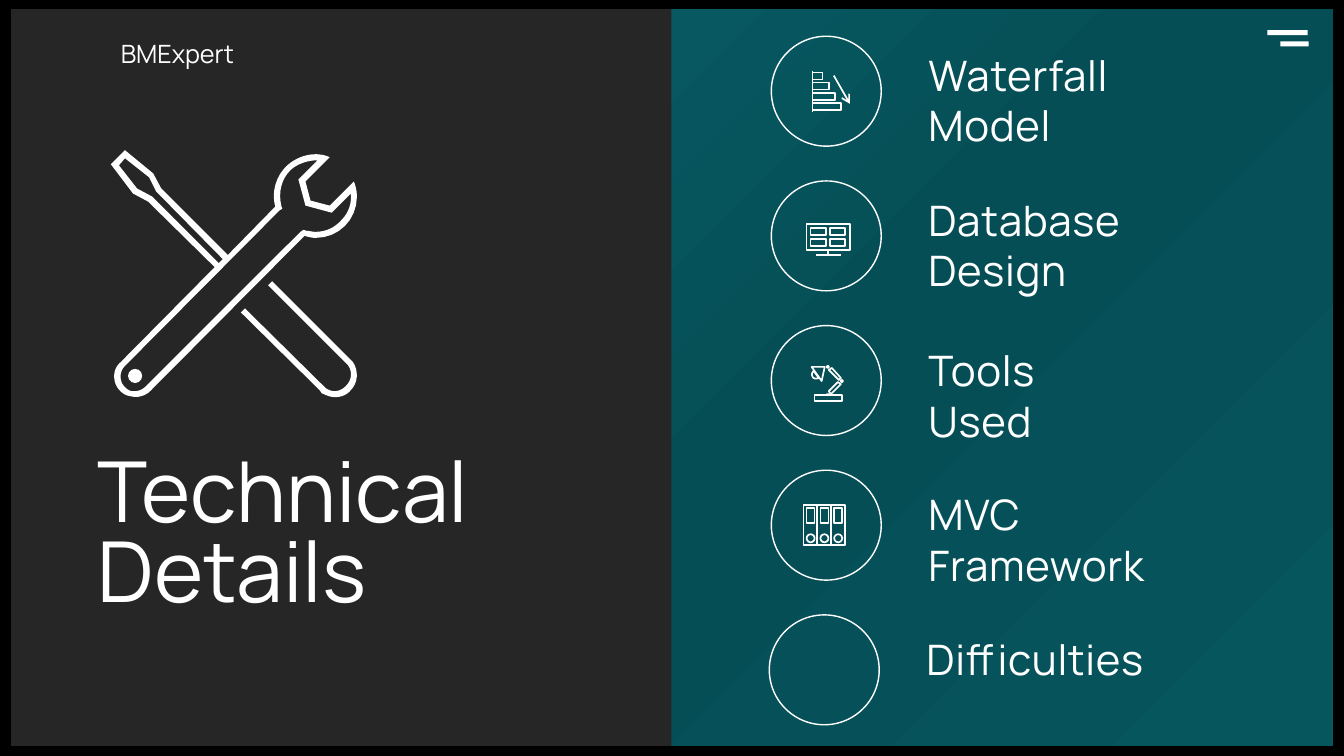
from lxml import etree
from pptx import Presentation, util as u
from pptx.dml.color import RGBColor
from pptx.enum import shapes, text
from pptx.oxml import parse_xml
from pptx.oxml.ns import qn

COLORS = {"black": "000000", "charcoal": "262626", "white": "FFFFFF",
          "teal": "086972", "deep": "064E56", "edge": "06565E"}
WHITE = RGBColor.from_string(COLORS["white"])
RECT, OVAL = shapes.MSO_SHAPE.RECTANGLE, shapes.MSO_SHAPE.OVAL
ICON_LINE = u.Pt(1.2)

prs = Presentation()
prs.slide_width, prs.slide_height = u.Inches(13.33), u.Inches(7.5)
s = prs.slides.add_slide(prs.slide_layouts[6])
s.background.fill.solid()
s.background.fill.fore_color.rgb = RGBColor.from_string(COLORS["black"])


def add_text(content, left, top, width, height, size, tracking=None, leading=None):
    tf = s.shapes.add_textbox(*map(u.Inches, (left, top, width, height))).text_frame
    tf.word_wrap = True
    tf.auto_size = text.MSO_AUTO_SIZE.SHAPE_TO_FIT_TEXT
    p = tf.paragraphs[0]
    if leading:
        p.line_spacing = leading
    r = p.add_run()
    r.text = content
    r.font.name, r.font.size, r.font.color.rgb = "Manrope", u.Pt(size), WHITE
    if tracking:
        r.font._element.set("spc", str(int(tracking * 100)))


def add_outline(contours, line=None, steps=8):
    builder = None
    for contour in contours:
        points = []
        for step in contour.split(";"):
            xy = [float(n) for n in step.split()]
            if len(xy) == 2:
                points.append(xy)
                continue
            (x0, y0), (x1, y1, x2, y2, x3, y3) = points[-1], xy
            for i in range(1, steps + 1):
                t = i / steps
                a, b, c, d = (1 - t) ** 3, 3 * t * (1 - t) ** 2, 3 * t * t * (1 - t), t ** 3
                points.append((a * x0 + b * x1 + c * x2 + d * x3,
                               a * y0 + b * y1 + c * y2 + d * y3))
        points = [(u.Inches(x), u.Inches(y)) for x, y in points]
        if builder is None:
            builder = s.shapes.build_freeform(*points[0], scale=1.0)
        else:
            builder.move_to(*points[0])
        builder.add_line_segments(points[1:], close=True)
    sp = builder.convert_to_shape()
    sp.shadow.inherit = False
    if line:
        sp.fill.background()
        sp.line.color.rgb, sp.line.width = WHITE, line
    else:
        sp.fill.solid()
        sp.fill.fore_color.rgb = WHITE
        sp.line.fill.background()


panels = []
for color, *box in [("teal", 0.11, 0.09, 13.11, 7.31),
                    ("charcoal", 0.11, 0.09, 6.55, 7.31),
                    ("white", 12.57, 0.3, 0.4, 0.05),
                    ("white", 12.7, 0.41, 0.28, 0.05)]:
    sp = s.shapes.add_shape(RECT, *map(u.Inches, box))
    sp.shadow.inherit = False
    sp.line.fill.background()
    sp.fill.solid()
    sp.fill.fore_color.rgb = RGBColor.from_string(COLORS[color])
    panels.append(sp)

stops = "".join(f'<a:gs pos="{pos}"><a:srgbClr val="{COLORS[name]}"/></a:gs>'
                for pos, name in [(0, "teal"), (57000, "deep"), (100000, "edge")])
solid = panels[0]._element.spPr.find(qn("a:solidFill"))
solid.getparent().replace(solid, parse_xml(
    '<a:gradFill xmlns:a="http://schemas.openxmlformats.org/drawingml/2006/main">'
    f'<a:gsLst>{stops}</a:gsLst><a:path path="circle">'
    '<a:fillToRect r="100000" b="100000"/></a:path></a:gradFill>'))

add_text("BMExpert", 1.1, 0.33, 1.9, 0.4, 18)
add_text("Technical Details", 0.87, 4.49, 5.55, 1.75, 60, leading=0.8)

topics = [("Waterfall Model", 9.11, 0.44, 2.73, 1.11),
          ("Database Design", 9.11, 1.88, 2.87, 1.11),
          ("Tools Used", 9.11, 3.37, 1.59, 1.11),
          ("MVC Framework", 9.11, 4.8, 2.8, 1.11),
          ("Difficulties", 9.09, 6.24, 2.63, 0.61)]
rings = []
for i, (topic, left, *box) in enumerate(topics):
    add_text(topic, left, *box, 30, tracking=0.5)
    rings.append((OVAL, left - 1.46, 0.36 + i * 5.74 / 4, 1.09, 1.09, u.Pt(1)))

icon_parts = [(RECT, 8.06, 0.72 + 0.1 * i, w, 0.07) for i, w in enumerate([0.1, 0.16, 0.22, 0.28])]
icon_parts += [(RECT, 8, 2.22, 0.43, 0.26)]
icon_parts += [(RECT, 8.04 + 0.19 * col, 2.26 + 0.11 * row, 0.15, 0.07)
               for row in range(2) for col in range(2)]
icon_parts += [(RECT, 8.08, 3.92, 0.27, 0.06), (OVAL, 8.34, 3.77, 0.02, 0.02),
               (OVAL, 8.2, 3.63, 0.02, 0.02), (OVAL, 8.2, 3.91, 0.02, 0.01)]
for i in range(3):
    x = 7.97 + i * 0.41 / 3
    icon_parts += [(RECT, x, 5.01, 0.41 / 3, 0.4), (RECT, x + 0.03, 5.04, 0.08, 0.15),
                   (OVAL, x + 0.03, 5.3, 0.08, 0.08)]

for kind, x, y, w, h, width in rings + [(*part, ICON_LINE) for part in icon_parts]:
    sp = s.shapes.add_shape(kind, *map(u.Inches, (x, y, w, h)))
    sp.shadow.inherit = False
    sp.fill.background()
    sp.line.color.rgb, sp.line.width = WHITE, width

strokes = [("axis", 8.06, 0.7, 8.06, 1.11), ("arrow", 8.27, 0.75, 8.43, 1.03),
           ("stand", 8.21, 2.48, 8.21, 2.53), ("foot", 8.09, 2.53, 8.34, 2.53)]
for name, *ends in strokes:
    c = s.shapes.add_connector(shapes.MSO_CONNECTOR.STRAIGHT, *map(u.Inches, ends))
    c.line.color.rgb, c.line.width = WHITE, ICON_LINE
    if name == "arrow":
        etree.SubElement(c.line._ln, qn("a:tailEnd"), type="arrow")
    etree.SubElement(c._element.spPr, qn("a:effectLst"))

lamp = {"lower arm": "8.22 3.88;8.31 3.79;8.34 3.81;8.24 3.91",
        "upper arm": "8.22 3.67;8.25 3.65;8.34 3.75;8.32 3.77",
        "shade": "8.05 3.64;8.18 3.64;8.15 3.78",
        "bulb": "8.07 3.68;8.05 3.7 8.05 3.72 8.06 3.74;8.07 3.76 8.1 3.76 8.12 3.75"}
for part in lamp.values():
    add_outline([part], line=ICON_LINE)

screwdriver_handle = [
    "2.7 2.79;2.66 2.83;3.45 3.62;3.5 3.69 3.49 3.77 3.43 3.83;3.4 3.86 3.36 3.88 3.32 3.88;"
    "3.29 3.88 3.26 3.87 3.23 3.85;3.21 3.83;2.43 3.06;2.39 3.1;3.17 3.87;3.19 3.9;"
    "3.23 3.92 3.28 3.94 3.32 3.94;3.38 3.94 3.44 3.92 3.48 3.87;3.55 3.8 3.56 3.68 3.5 3.59"]
wrench_and_blade = [
    "3.13 2.36;3.36 2.36 3.54 2.18 3.54 1.95;3.54 1.9 3.53 1.85 3.51 1.8;3.27 2.04;3.08 1.99;"
    "3.03 1.8;3.27 1.56;3.23 1.54 3.18 1.53 3.13 1.53;3.03 1.53 2.93 1.57 2.85 1.64;"
    "2.74 1.74 2.69 1.9 2.73 2.05;2.26 2.53;1.6 1.87;1.52 1.72;1.24 1.49;1.1 1.63;1.32 1.92;"
    "1.47 2;2.13 2.65;1.2 3.59;1.14 3.64 1.12 3.71 1.14 3.79;1.16 3.86 1.22 3.92 1.29 3.93;"
    "1.36 3.95 1.44 3.93 1.49 3.88;3.02 2.34;3.06 2.35 3.09 2.36 3.13 2.36",
    "1.51 1.95;1.36 1.87;1.18 1.64;1.24 1.57;1.48 1.76;1.55 1.9;2.21 2.57;2.17 2.61",
    "2.98 2.3;1.45 3.83;1.42 3.86 1.38 3.88 1.34 3.88;1.33 3.88 1.32 3.88 1.3 3.88;"
    "1.25 3.86 1.21 3.82 1.2 3.77;1.19 3.72 1.2 3.67 1.24 3.63;2.77 2.09;2.8 2.07;2.79 2.04;"
    "2.76 1.91 2.79 1.77 2.89 1.68;2.96 1.62 3.06 1.59 3.15 1.59;2.96 1.78;3.03 2.04;3.29 2.11;"
    "3.48 1.92;3.49 2.01 3.46 2.11 3.39 2.18;3.32 2.26 3.23 2.3 3.13 2.3;"
    "3.1 2.3 3.07 2.29 3.04 2.29;3.01 2.28"]
add_outline(screwdriver_handle)
add_outline(wrench_and_blade)

hole = s.shapes.add_shape(OVAL, *map(u.Inches, (1.27, 3.66, 0.14, 0.14)))
hole.shadow.inherit = False
hole.fill.solid()
hole.fill.fore_color.rgb = WHITE
hole.line.fill.background()

prs.save("out.pptx")
